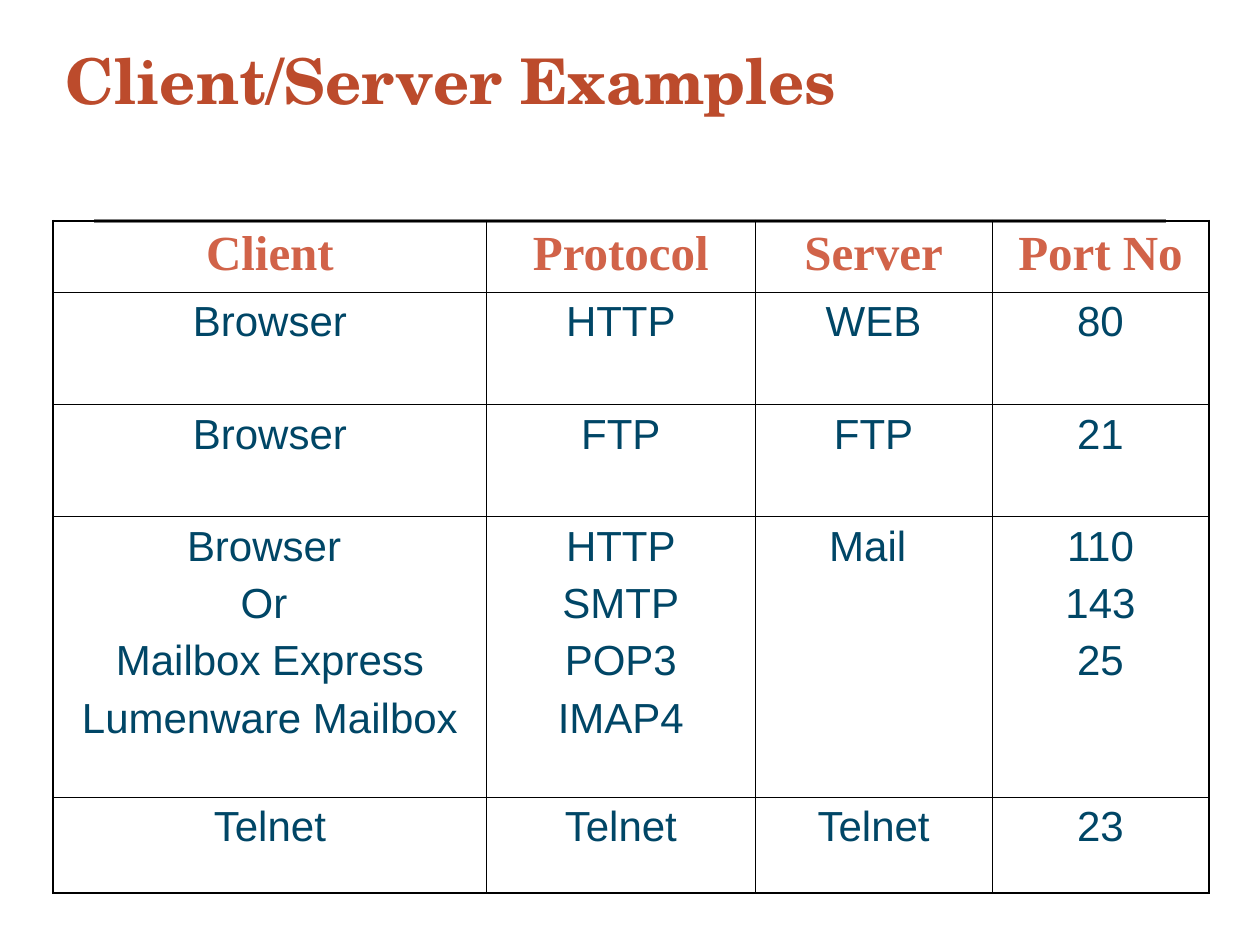
import lxml.etree
import pptx
import pptx.dml.color
import pptx.enum.shapes
import pptx.enum.text
import pptx.oxml
import pptx.oxml.ns
import pptx.util

Cm = pptx.util.Cm
Pt = pptx.util.Pt

COLORS = {
    "title": "BC4B2C",
    "heading": "D16349",
    "body": "004666",
    "rule": "808080",
    "border": "000000",
}
FORMATS = {
    "title": {"size": Pt(36), "name": "TeX Gyre Schola", "bold": True},
    "heading": {"size": Pt(28), "name": "Times New Roman", "bold": True},
    "body": {"size": Pt(24), "name": "Arial", "bold": False},
}
COLUMN_WIDTHS = [8.74, 5.41, 4.78, 4.37]
ROW_HEIGHTS = [1.45, 2.26, 2.26, 5.66, 1.93]
ROWS = [
    ["Client", "Protocol", "Server", "Port No"],
    ["Browser", "HTTP", "WEB", "80"],
    ["Browser", "FTP", "FTP", "21"],
    [
        "Browser \nOr \nMailbox Express\nLumenware Mailbox",
        "HTTP\nSMTP\nPOP3\nIMAP4",
        "Mail ",
        "110\n143\n25",
    ],
    ["Telnet", "Telnet", "Telnet", "23"],
]
INNER_BORDER = 0.45
OUTER_BORDER = 1.08


def color(name):
    return pptx.dml.color.RGBColor.from_string(COLORS[name])


def write_text(frame, text, style, alignment):
    frame.text = text
    for index, para in enumerate(frame.paragraphs):
        para.alignment = alignment
        if index:
            para.space_before = Pt(6)
        for span in para.runs:
            for name, value in FORMATS[style].items():
                setattr(span.font, name, value)
            span.font.color.rgb = color(style)


def add_title(page, left, top, width, height):
    box = page.shapes.add_textbox(Cm(left), Cm(top), Cm(width), Cm(height))
    frame = box.text_frame
    frame.word_wrap = True
    frame.vertical_anchor = pptx.enum.text.MSO_ANCHOR.MIDDLE
    write_text(frame, "Client/Server Examples", "title", pptx.enum.text.PP_ALIGN.LEFT)


def add_rule(page, left, top, width):
    rule = page.shapes.add_connector(
        pptx.enum.shapes.MSO_CONNECTOR.STRAIGHT,
        Cm(left), Cm(top), Cm(left + width), Cm(top),
    )
    rule.line.color.rgb = color("rule")
    rule.line.width = Pt(2)
    properties = rule.element.spPr
    lxml.etree.SubElement(properties, pptx.oxml.ns.qn("a:effectLst"))


def set_borders(cell, widths):
    properties = cell._tc.get_or_add_tcPr()
    for side, width in widths.items():
        border = lxml.etree.SubElement(
            properties, pptx.oxml.ns.qn(f"a:ln{side}"), w=str(int(Pt(width)))
        )
        fill = lxml.etree.SubElement(border, pptx.oxml.ns.qn("a:solidFill"))
        lxml.etree.SubElement(
            fill, pptx.oxml.ns.qn("a:srgbClr"), val=COLORS["border"]
        )


def add_examples_table(page, left, top):
    table = page.shapes.add_table(
        len(ROWS), len(COLUMN_WIDTHS), Cm(left), Cm(top),
        Cm(sum(COLUMN_WIDTHS)), Cm(sum(ROW_HEIGHTS)),
    ).table
    table.first_row = False
    table.horz_banding = False
    for column, width in zip(table.columns, COLUMN_WIDTHS):
        column.width = Cm(width)
    for row, height in zip(table.rows, ROW_HEIGHTS):
        row.height = Cm(height)
    last_row = len(ROWS) - 1
    last_column = len(COLUMN_WIDTHS) - 1
    for r, texts in enumerate(ROWS):
        for c, text in enumerate(texts):
            cell = table.cell(r, c)
            style = "body" if r else "heading"
            write_text(cell.text_frame, text, style, pptx.enum.text.PP_ALIGN.CENTER)
            outer_sides = {
                "L": c == 0, "R": c == last_column, "T": r == 0, "B": r == last_row,
            }
            set_borders(cell, {
                side: OUTER_BORDER if outer else INNER_BORDER
                for side, outer in outer_sides.items()
            })
            cell.fill.background()


def main():
    deck = pptx.Presentation()
    deck.slide_width = Cm(25.4)
    deck.slide_height = Cm(19.05)
    page = deck.slides.add_slide(deck.slide_layouts[6])
    add_rule(page, 1.9, 4.45, 21.6)
    add_title(page, 1.07, 0.84, 23.39, 1.52)
    add_examples_table(page, 1.07, 4.45)
    deck.save("out.pptx")


if __name__ == "__main__":
    main()
